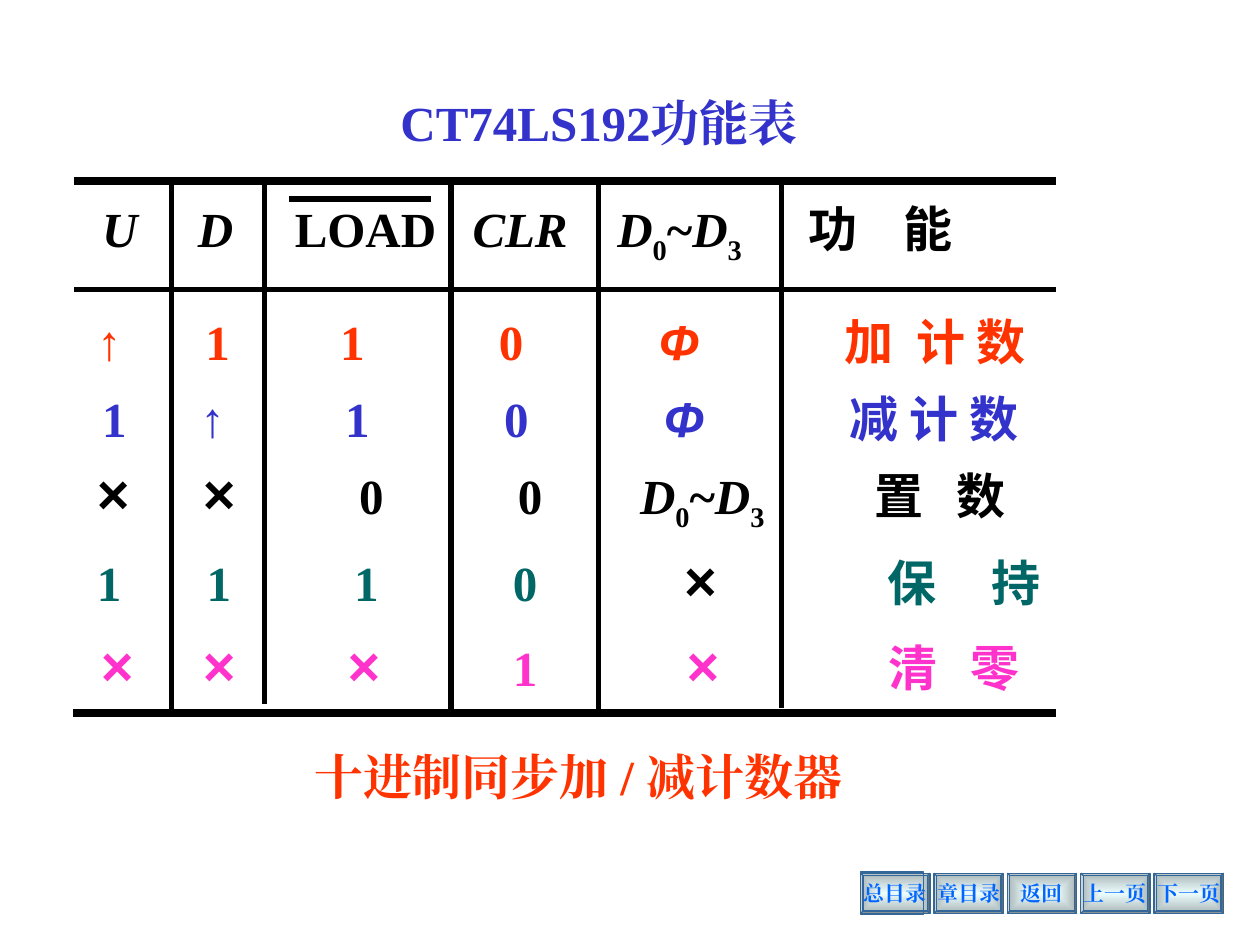
from dataclasses import dataclass

import lxml.etree
import pptx
import pptx.dml.color
import pptx.enum.dml
import pptx.enum.shapes
import pptx.enum.text
import pptx.oxml.ns
import pptx.util
from pptx.util import Inches

qn = pptx.oxml.ns.qn
SERIF, SANS, CJK = "Times New Roman", "Arial", "Noto Sans CJK SC"
BLACK, RED, BLUE, GREEN, PINK = "000000", "FF3300", "3333CC", "006666", "FF33CC"
LINK, FRAME = "0066FF", "336699"


@dataclass
class Run:
    text: str
    font: str = SERIF
    size: int = 28
    italic: bool = False
    sub: bool = False
    color: str = ""


@dataclass
class Cell:
    x: float
    runs: list[Run]


@dataclass
class Row:
    left: float
    top: float
    width: float
    height: float
    color: str
    cells: list[Cell]


@dataclass
class Rule:
    x1: float
    y1: float
    x2: float
    y2: float
    weight: float = 3


def rgb(value: str) -> pptx.dml.color.RGBColor:
    return pptx.dml.color.RGBColor.from_string(value)


def num(x: float, text: str) -> Cell:
    return Cell(x, [Run(text)])


def var(x: float, text: str) -> Cell:
    return Cell(x, [Run(text, italic=True)])


def cross(x: float, color: str = "") -> Cell:
    return Cell(x, [Run("×", SANS, 32, color=color)])


def arrow(x: float) -> Cell:
    return Cell(x, [Run("↑", SANS)])


def phi(x: float) -> Cell:
    return Cell(x, [Run("Φ", SANS, italic=True)])


def word(x: float, text: str) -> Cell:
    return Cell(x, [Run(text, CJK)])


def data_range(x: float) -> Cell:
    return Cell(x, [Run("D", italic=True), Run("0", sub=True), Run("~"),
                    Run("D", italic=True), Run("3", sub=True)])


def add_run(p, run: Run, color: str, prefix: str = "") -> None:
    r = p.add_run()
    r.text = prefix + run.text
    r.font.name = run.font
    r.font.size = pptx.util.Pt(run.size)
    r.font.bold = True
    r.font.italic = run.italic
    r.font.color.rgb = rgb(run.color or color)
    rPr = r._r.get_or_add_rPr()
    lxml.etree.SubElement(rPr, qn("a:ea")).set("typeface", run.font)
    if run.sub:
        rPr.set("baseline", "-25000")


def add_box(s, left: float, top: float, width: float, height: float, wrap: bool = True):
    tf = s.shapes.add_textbox(Inches(left), Inches(top), Inches(width), Inches(height)).text_frame
    tf.word_wrap = wrap
    tf.auto_size = pptx.enum.text.MSO_AUTO_SIZE.SHAPE_TO_FIT_TEXT
    tf.vertical_anchor = pptx.enum.text.MSO_ANCHOR.MIDDLE
    return tf


def add_row(s, row: Row) -> None:
    tf = add_box(s, row.left, row.top, row.width, row.height)
    start = row.cells[0].x
    tf.margin_left = Inches(start - row.left)
    p = tf.paragraphs[0]
    tabs = lxml.etree.SubElement(p._p.get_or_add_pPr(), qn("a:tabLst"))
    for cell in row.cells[1:]:
        tab = lxml.etree.SubElement(tabs, qn("a:tab"))
        tab.set("pos", str(Inches(cell.x - start)))
        tab.set("algn", "l")
    for i, cell in enumerate(row.cells):
        for j, run in enumerate(cell.runs):
            add_run(p, run, row.color, "\t" if i and not j else "")


def add_rule(s, rule: Rule) -> None:
    c = s.shapes.add_connector(pptx.enum.shapes.MSO_CONNECTOR.STRAIGHT, Inches(rule.x1),
                               Inches(rule.y1), Inches(rule.x2), Inches(rule.y2))
    c.line.color.rgb = rgb(BLACK)
    c.line.width = pptx.util.Pt(rule.weight)
    lxml.etree.SubElement(c._element.spPr, qn("a:effectLst"))


def add_frame(s, kind, left: float, top: float, width: float, height: float):
    sp = s.shapes.add_shape(kind, Inches(left), Inches(top), Inches(width), Inches(height))
    sp.shadow.inherit = False
    sp.line.color.rgb = rgb(FRAME)
    sp.line.width = pptx.util.Pt(0.75)
    return sp


def add_button(s, left: float, label: str) -> None:
    sp = add_frame(s, pptx.enum.shapes.MSO_SHAPE.BEVEL, left, 6.93, 0.55, 0.32)
    sp.adjustments[0] = 0.06
    sp.fill.gradient()
    for stop, color in zip(sp.fill.gradient_stops, ("ECFDFE", "AAB6B7")):
        stop.color.rgb = rgb(color)
    sp.fill.gradient_stops[0].position = 0
    sp.fill.gradient_stops[1].position = 1
    lin = sp._element.spPr.find(".//" + qn("a:lin"))
    shade = lxml.etree.Element(qn("a:path"))
    shade.set("path", "rect")
    center = lxml.etree.SubElement(shade, qn("a:fillToRect"))
    for side in "ltrb":
        center.set(side, "50000")
    lin.getparent().replace(lin, shade)
    tf = sp.text_frame
    tf.word_wrap = False
    tf.vertical_anchor = pptx.enum.text.MSO_ANCHOR.MIDDLE
    p = tf.paragraphs[0]
    p.alignment = pptx.enum.text.PP_ALIGN.CENTER
    add_run(p, Run(label, size=12), LINK)


ROWS = [
    Row(0.61, 1.53, 8.39, 0.63, BLACK, [
        var(0.81, "U"), var(1.57, "D"), num(2.34, "LOAD"), var(3.75, "CLR"),
        data_range(4.9), word(6.42, "功"), word(7.17, "能")]),
    Row(0.67, 2.42, 8.58, 0.57, RED, [
        arrow(0.77), num(1.63, "1"), num(2.7, "1"), num(3.96, "0"),
        phi(5.23), word(6.7, "加"), word(7.27, "计 数")]),
    Row(0.42, 3.03, 8.5, 0.57, BLUE, [
        num(0.81, "1"), arrow(1.59), num(2.74, "1"), num(4.0, "0"),
        phi(5.27), word(6.74, "减 计 数")]),
    Row(0.67, 3.59, 8.67, 0.69, BLACK, [
        cross(0.77), cross(1.61), num(2.85, "0"), num(4.11, "0"),
        data_range(5.08), word(6.94, "置"), word(7.59, "数")]),
    Row(0.67, 4.28, 9.33, 0.64, GREEN, [
        num(0.77, "1"), num(1.64, "1"), num(2.81, "1"), num(4.07, "0"),
        cross(5.43, BLACK), word(7.04, "保"), word(7.87, "持")]),
    Row(0.5, 4.95, 8.83, 0.64, PINK, [
        cross(0.8), cross(1.61), cross(2.76), num(4.07, "1"),
        cross(5.45), word(7.05, "清"), word(7.7, "零")]),
]
RULES = [
    Rule(2.29, 1.58, 3.42, 1.58),
    Rule(0.59, 1.44, 8.38, 1.44, 4.5),
    Rule(0.58, 5.66, 8.38, 5.66, 4.5),
    Rule(0.59, 2.3, 8.38, 2.3),
    Rule(1.36, 1.42, 1.36, 5.67),
    Rule(2.1, 1.44, 2.1, 5.59),
    Rule(3.58, 1.44, 3.58, 5.64),
    Rule(4.75, 1.46, 4.75, 5.64),
    Rule(6.2, 1.44, 6.2, 5.62),
]
BUTTONS = ["总目录", "章目录", "返回", "上一页", "下一页"]


def main() -> None:
    prs = pptx.Presentation()
    prs.slide_width, prs.slide_height = Inches(10), Inches(7.5)
    s = prs.slides.add_slide(prs.slide_layouts[6])
    for i, label in enumerate(BUTTONS):
        add_button(s, 6.83 + i * (9.16 - 6.83) / (len(BUTTONS) - 1), label)
    add_frame(s, pptx.enum.shapes.MSO_SHAPE.RECTANGLE, 6.83, 6.92, 0.5, 0.34).fill.background()
    title = add_box(s, 3.08, 0.68, 4.75, 0.57)
    add_run(title.paragraphs[0], Run("CT74LS192功能表"), BLUE)
    for row in ROWS:
        add_row(s, row)
    for rule in RULES:
        add_rule(s, rule)
    caption = add_box(s, 2.31, 5.87, 4.56, 0.57, wrap=False)
    caption.paragraphs[0].alignment = pptx.enum.text.PP_ALIGN.CENTER
    add_run(caption.paragraphs[0], Run("十进制同步加 / 减计数器"), RED)
    prs.save("out.pptx")


if __name__ == "__main__":
    main()
